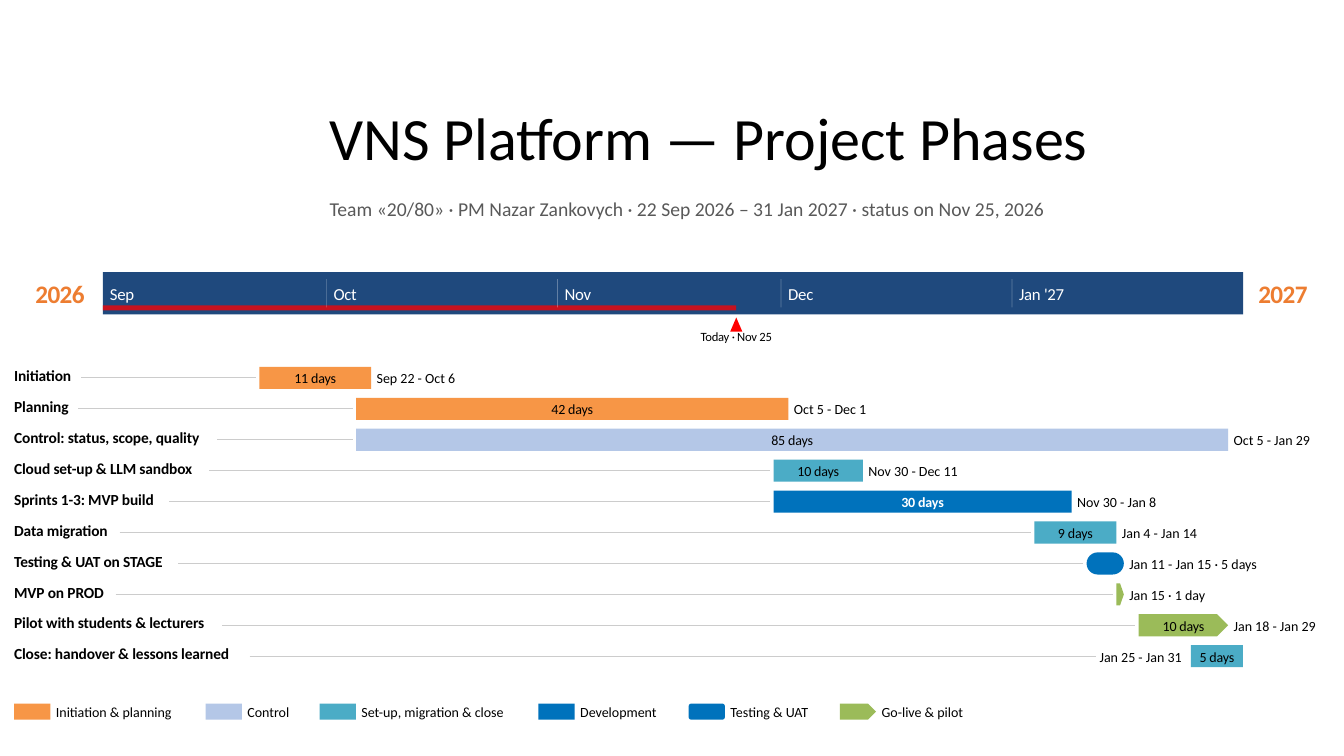
from dataclasses import dataclass

from lxml.etree import SubElement
from pptx import Presentation
from pptx.dml.color import RGBColor
from pptx.enum.shapes import MSO_CONNECTOR as Connector, MSO_SHAPE as Preset
from pptx.enum.text import MSO_ANCHOR as Anchor, PP_ALIGN as Align
from pptx.oxml.ns import qn
from pptx.slide import Slide
from pptx.util import Emu, Inches, Pt

COLORS = {
    "axis": "1F497D", "today": "FF0000", "year": "ED7D31", "leader": "CCCCCC",
    "text": "000000", "light": "FFFFFF", "subtitle": "595959",
    "planning": "F79646", "control": "B4C7E7", "setup": "4BACC6",
    "build": "0072BC", "golive": "9BBB59",
}
FONT = "Calibri"
WIDTH, HEIGHT = Inches(13.33), Inches(7.5)

# All lengths below are percentages of the slide's width or height
AXIS_LEFT, AXIS_TOP, AXIS_WIDTH, AXIS_HEIGHT = 7.65, 36, 84.84, 5.6
MONTH_STARTS = {"Sep": 0, "Oct": 30, "Nov": 61, "Dec": 91, "Jan": 122}
DAY = AXIS_WIDTH / 153
MARGIN = 1.05
ROW_TOP, ROW_STEP, BAR_HEIGHT = 48.53, 4.09, 2.93
DATES_GAP, LINE_GAP, LABEL_GAP = 0.41, 0.25, 0.5
LEGEND_TOP, SWATCH_WIDTH, LEGEND_INDENT, LEGEND_GAP = 93.07, 2.7, 3.11, 2.14


@dataclass(frozen=True)
class Category:
    name: str
    width: float
    color: str
    preset: Preset = Preset.RECTANGLE


@dataclass(frozen=True)
class Phase:
    label: str
    label_width: float
    category: Category
    dates: str
    dates_width: float
    duration: str = ""
    dates_before: bool = False


@dataclass(frozen=True)
class Style:
    size: float
    color: str = "text"
    bold: bool = False
    spacing: int = 0
    align: Align = Align.LEFT


PLANNING = Category("Initiation & planning", 9, "planning")
CONTROL = Category("Control", 3.23, "control")
SETUP = Category("Set-up, migration & close", 11.03, "setup")
BUILD = Category("Development", 5.93, "build")
TESTING = Category("Testing & UAT", 6, "build", Preset.ROUNDED_RECTANGLE)
GOLIVE = Category("Go-live & pilot", 6.3, "golive", Preset.PENTAGON)
CATEGORIES = [PLANNING, CONTROL, SETUP, BUILD, TESTING, GOLIVE]

PHASES = [
    Phase("Initiation", 4.5, PLANNING, "Sep 22 - Oct 6", 6.08, "11 days"),
    Phase("Planning", 4.28, PLANNING, "Oct 5 - Dec 1", 5.63, "42 days"),
    Phase("Control: status, scope, quality", 14.63, CONTROL, "Oct 5 - Jan 29", 5.93, "85 days"),
    Phase("Cloud set-up & LLM sandbox", 14.03, SETUP, "Nov 30 - Dec 11", 6.9, "10 days"),
    Phase("Sprints 1-3: MVP build", 11.03, BUILD, "Nov 30 - Jan 8", 6.15, "30 days"),
    Phase("Data migration", 7.35, SETUP, "Jan 4 - Jan 14", 5.85, "9 days"),
    Phase("Testing & UAT on STAGE", 11.7, TESTING, "Jan 11 - Jan 15 · 5 days", 9.9),
    Phase("MVP on PROD", 7.05, GOLIVE, "Jan 15 · 1 day", 5.93),
    Phase("Pilot with students & lecturers", 15, GOLIVE, "Jan 18 - Jan 29", 6.38, "10 days"),
    Phase("Close: handover & lessons learned", 17.03, SETUP, "Jan 25 - Jan 31", 6.38, "5 days", True),
]

YEAR = Style(18, "year", True, -40, Align.CENTER)
TODAY = Style(9, spacing=-20, align=Align.CENTER)
MONTH = Style(12, "light", spacing=-20)
LABEL = Style(11, bold=True, spacing=-10)
DURATION = Style(10, spacing=-10, align=Align.CENTER)
BUILD_DURATION = Style(10, "light", True, -10, Align.CENTER)
DETAIL = Style(10)


def across(percent: float) -> Emu:
    return Emu(round(WIDTH * percent / 100))


def down(percent: float) -> Emu:
    return Emu(round(HEIGHT * percent / 100))


def day_left(date: str) -> float:
    """Left edge of a date such as 'Oct 5' on the time axis."""
    month, day = date.split()
    return AXIS_LEFT + DAY * (MONTH_STARTS[month] + int(day) - 1)


def set_alpha(fill, percent: int) -> None:
    color = fill._xPr.find(qn("a:solidFill"))[0]
    SubElement(color, qn("a:alpha")).set("val", str(percent * 1000))


def add_text(page: Slide, text: str, left: float, top: float, width: float,
             height: float, style: Style, wrap: bool = True):
    box = page.shapes.add_textbox(across(left), down(top), across(width), down(height))
    frame = box.text_frame
    frame.word_wrap = wrap
    frame.vertical_anchor = Anchor.MIDDLE
    frame.margin_left = frame.margin_top = frame.margin_right = frame.margin_bottom = 0
    para = frame.paragraphs[0]
    para.alignment = style.align
    span = para.add_run()
    span.text = text
    span.font.name, span.font.size = FONT, Pt(style.size)
    span.font.bold = style.bold
    span.font.color.rgb = RGBColor.from_string(COLORS[style.color])
    if style.spacing:
        span.font._element.set("spc", str(style.spacing))
    return frame


def add_block(page: Slide, preset: Preset, left: float, top: float,
              width: float, height: float, color: str):
    block = page.shapes.add_shape(preset, across(left), down(top), across(width), down(height))
    block.shadow.inherit = False
    block.fill.solid()
    block.fill.fore_color.rgb = RGBColor.from_string(COLORS[color])
    block.line.fill.background()
    return block


def add_line(page: Slide, left: float, top: float, right: float, bottom: float,
             color: str, weight: float):
    line = page.shapes.add_connector(
        Connector.STRAIGHT, across(left), down(top), across(right), down(bottom))
    line.line.width = Pt(weight)
    line.line.color.rgb = RGBColor.from_string(COLORS[color])
    SubElement(line._element.spPr, qn("a:effectLst"))
    return line


def draw_heading(page: Slide) -> None:
    title = add_text(page, "VNS Platform — Project Phases", 23.78, 13.73, 75.02, 14.8, Style(42.9))
    title.vertical_anchor = Anchor.TOP
    title.margin_left = title.margin_right = Inches(0.1)
    title.margin_top = title.margin_bottom = Inches(0.05)
    title.paragraphs[0].line_spacing = 0.9
    add_text(page, "Team «20/80» · PM Nazar Zankovych · 22 Sep 2026 – 31 Jan 2027 · status on Nov 25, 2026",
             24.53, 26, 55.21, 3.33, Style(14, "subtitle"))


def draw_axis(page: Slide) -> None:
    for year, left in (("2026", 2.63), ("2027", 93.62)):
        add_text(page, year, left, 36.8, 3.68, 4.13, YEAR, wrap=False)
    add_block(page, Preset.RECTANGLE, AXIS_LEFT, AXIS_TOP, AXIS_WIDTH, AXIS_HEIGHT, "axis")

    # Elapsed time and today's marker
    today = day_left("Nov 25")
    elapsed = add_block(page, Preset.RECTANGLE, AXIS_LEFT, 40.4, today - AXIS_LEFT, 0.67, "today")
    set_alpha(elapsed.fill, 75)
    add_block(page, Preset.ISOSCELES_TRIANGLE, today - 0.45, 42, 0.9, 1.87, "today")
    add_text(page, "Today · Nov 25", today - 2.89, 43.47, 5.78, 2, TODAY, wrap=False)

    # Months, each after the first led by a tick
    for month, start in MONTH_STARTS.items():
        left = AXIS_LEFT + DAY * start
        if start:
            tick = add_line(page, left, 36.93, left, 40.67, "light", 0.5)
            set_alpha(tick.line.fill, 30)
        name, width = ("Jan '27", 3.75) if month == "Jan" else (month, 2.14)
        add_text(page, name, left + 0.53, 37.47, width, 2.67, MONTH, wrap=False)


def draw_phase(page: Slide, phase: Phase, top: float) -> None:
    category = phase.category
    dates = phase.dates.split(" · ")[0].split(" - ")
    left, right = day_left(dates[0]), day_left(dates[-1]) + DAY
    dates_left = left - DATES_GAP - phase.dates_width if phase.dates_before else right + DATES_GAP
    middle = top + BAR_HEIGHT / 2

    add_line(page, MARGIN + phase.label_width + LABEL_GAP, middle,
             min(left, dates_left) - LINE_GAP, middle, "leader", 0.75)
    add_text(page, phase.label, MARGIN, top - 0.13, phase.label_width, 2.53, LABEL)
    bar = add_block(page, category.preset, left, top, right - left, BAR_HEIGHT, category.color)
    if category is TESTING:
        bar.adjustments[0] = 0.5
    if phase.duration:
        width = 0.47 * len(phase.duration)
        style = BUILD_DURATION if category is BUILD else DURATION
        add_text(page, phase.duration, (left + right - width) / 2, top + 0.36, width, 2.27,
                 style, wrap=False)
    add_text(page, phase.dates, dates_left, top + 0.36, phase.dates_width, 2.27, DETAIL)


def draw_legend(page: Slide) -> None:
    left = MARGIN
    for category in CATEGORIES:
        add_block(page, category.preset, left, LEGEND_TOP, SWATCH_WIDTH, 2.13, category.color)
        add_text(page, category.name, left + LEGEND_INDENT, LEGEND_TOP, category.width, 2.27, DETAIL)
        left += LEGEND_INDENT + category.width + LEGEND_GAP


def main() -> None:
    deck = Presentation()
    deck.slide_width, deck.slide_height = WIDTH, HEIGHT
    page = deck.slides.add_slide(deck.slide_layouts[6])
    draw_heading(page)
    draw_axis(page)
    for row, phase in enumerate(PHASES):
        draw_phase(page, phase, ROW_TOP + ROW_STEP * row)
    draw_legend(page)
    deck.save("out.pptx")


if __name__ == "__main__":
    main()
